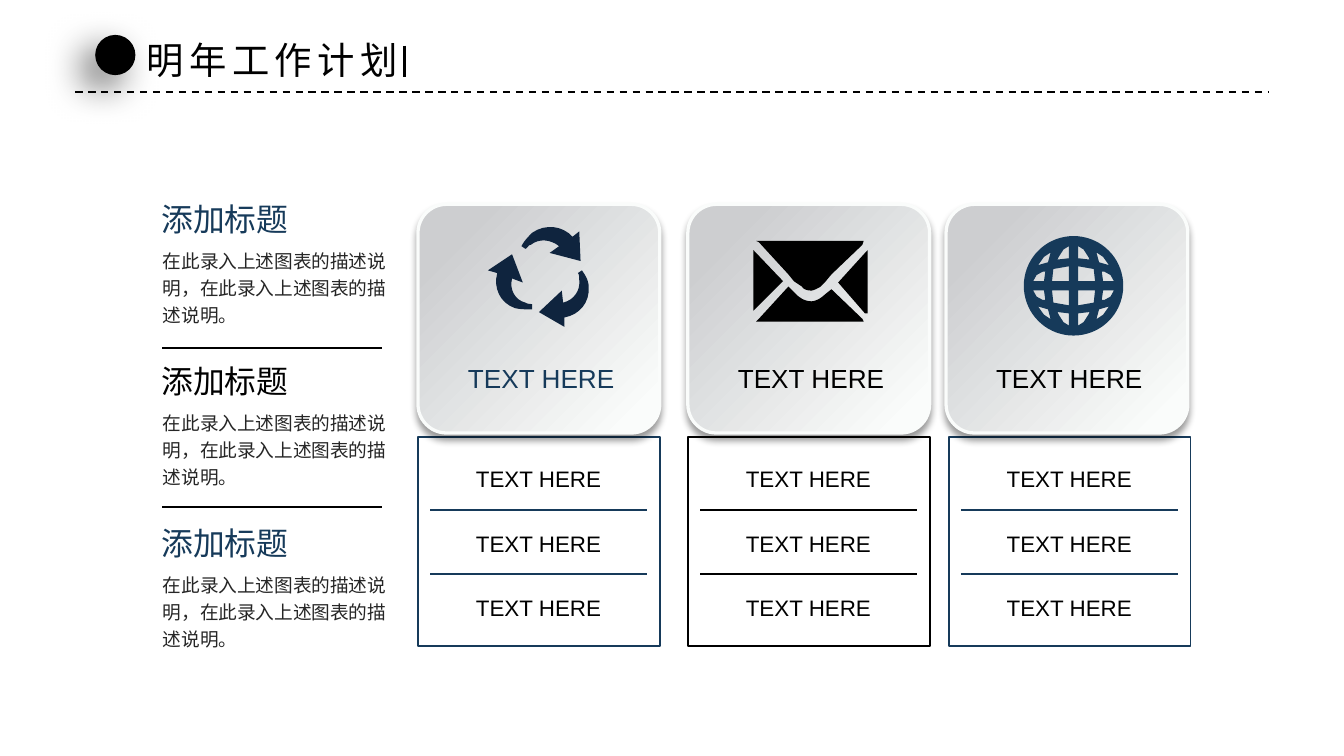
import math
from lxml import etree
from pptx import Presentation
from pptx import util as u
from pptx.dml.color import RGBColor
from pptx.enum import dml, shapes, text
from pptx.oxml.ns import qn

COLORS = {"navy": "163A5A", "deep": "0F243E", "black": "000000", "body": "262626",
          "silver": "CDCED0", "pale": "FAFCFB"}
CJK, LATIN = "Noto Sans CJK SC", "Arial"

TITLE = "明年工作计划"
DESCRIPTION = "在此录入上述图表的描述说明，在此录入上述图表的描述说明。"
NOTES = [("添加标题", DESCRIPTION, "navy"), ("添加标题", DESCRIPTION, "black"),
         ("添加标题", DESCRIPTION, "navy")]
ITEMS = ["TEXT HERE"] * 3

# Icon outlines in hundredths of an inch: pairs are corners, sextets are Bezier curves.
RECYCLE = [
    [(57, 77), (38, 66), (55, 50), (56, 59), (64, 57, 69, 50, 68, 42),
     (68, 40, 68, 38, 67, 37), (70, 35), (73, 39, 75, 43, 75, 47), (76, 59, 68, 68, 57, 70)],
    [(0, 35), (18, 23), (26, 44), (18, 41), (16, 49, 20, 57, 28, 59),
     (30, 60, 31, 60, 33, 60), (33, 64), (29, 64, 24, 64, 20, 63), (9, 59, 4, 48, 7, 37)],
    [(68, 6), (63, 10), (56, 2, 43, 0, 33, 7), (30, 10, 27, 13, 25, 17), (28, 19),
     (30, 18, 30, 16, 32, 16), (38, 11, 47, 12, 53, 17), (46, 22), (69, 28)],
]
ENVELOPE = [
    [(0, 7), (0, 52), (22, 30)],
    [(26, 25), (30, 30), (36, 34), (37, 36, 40, 37, 43, 37), (44, 37, 47, 36, 50, 34),
     (53, 31), (58, 25), (81, 3), (82, 0), (2, 0), (4, 1)],
    [(58, 36), (53, 40), (50, 43, 46, 45, 43, 45), (39, 45, 35, 43, 32, 40),
     (26, 34), (4, 58), (2, 60), (82, 60), (81, 58)],
    [(83, 9), (63, 31), (83, 54), (85, 54), (85, 7)],
]
GLOBE_GAPS = [  # one quarter, measured from the centre
    [(3.5, 29.5), (3.5, 20.5), (12, 19.5), (11, 21.5), (7.5, 27)],
    [(3.5, 14.5), (3.5, 3.5), (16, 3.5), (15, 12.5)],
    [(22, 3.5), (30, 3.5), (27.5, 8), (23, 10.5), (21, 10.5)],
    [(19, 17.5), (26, 15.5), (27, 14.5), (22, 21.5), (16, 25.5), (17, 25)],
]


def globe():
    """Disc outline followed by the gaps mirrored into four quarters."""
    middle, radius = 37, 37
    disc = [(middle + radius * math.cos(math.radians(a)),
             middle + radius * math.sin(math.radians(a))) for a in range(0, 360, 5)]
    return [disc] + [[(middle + sx * x, middle + sy * y) for x, y in gap]
                     for sx in (1, -1) for sy in (1, -1) for gap in GLOBE_GAPS]


# panel left, card left, accent, label colour, icon outlines, icon colour, icon offset in card
COLUMNS = [
    (7.9, 7.9, "navy", "navy", RECYCLE, "deep", (1.32, 0.36)),
    (13.0, 13.0, "black", "black", ENVELOPE, "black", (1.24, 0.69)),
    (17.93, 17.88, "navy", "black", globe(), "navy", (1.47, 0.6)),
]
WIDTH, CARD_TOP, CARD_HEIGHT = 4.57, 3.86, 4.32
PANEL_TOP, PANEL_HEIGHT, ROW = 8.26, 3.94, 1.22
INSET, INNER = 0.23, 4.1


def rgb(name):
    return RGBColor.from_string(COLORS[name])


def write(box, words, *, size, color, font=LATIN, align="LEFT", line=None, spacing=None,
          margins=(0.25, 0.13), wrap=True):
    frame = box.text_frame
    frame.auto_size = text.MSO_AUTO_SIZE.NONE
    frame.word_wrap = wrap
    frame.vertical_anchor = text.MSO_ANCHOR.TOP
    frame.margin_left = frame.margin_right = u.Cm(margins[0])
    frame.margin_top = frame.margin_bottom = u.Cm(margins[1])
    para = frame.paragraphs[0]
    para.alignment = getattr(text.PP_ALIGN, align)
    if line:
        para.line_spacing = line
    span = para.add_run()
    span.text = words
    span.font.size = u.Pt(size)
    span.font.color.rgb = rgb(color)
    span.font.name = font
    props = span.font._element
    etree.SubElement(props, qn("a:ea")).set("typeface", font)
    if spacing:
        props.set("spc", str(spacing * 100))


def add_text(page, left, top, width, height, words, **style):
    box = page.shapes.add_textbox(u.Cm(left), u.Cm(top), u.Cm(width), u.Cm(height))
    write(box, words, **style)


def add_line(page, x1, y1, x2, y2, color="black", weight=1, dashed=False):
    line = page.shapes.add_connector(shapes.MSO_CONNECTOR.STRAIGHT,
                                     u.Cm(x1), u.Cm(y1), u.Cm(x2), u.Cm(y2))
    line.line.color.rgb = rgb(color)
    line.line.width = u.Pt(weight)
    if dashed:
        line.line.dash_style = dml.MSO_LINE.DASH
    etree.SubElement(line._element.spPr, qn("a:effectLst"))


def add_box(page, kind, left, top, width, height):
    shape = page.shapes.add_shape(getattr(shapes.MSO_SHAPE, kind), u.Cm(left), u.Cm(top),
                                  u.Cm(width), u.Cm(height))
    shape.shadow.inherit = False
    return shape


def cast_shadow(shape, blur, distance, angle, opacity):
    effects = shape._element.spPr.find(qn("a:effectLst"))
    shadow = etree.SubElement(effects, qn("a:outerShdw"), blurRad=str(u.Pt(blur)),
                              dist=str(u.Pt(distance)), dir=str(angle * 60000),
                              algn="ctr", rotWithShape="0")
    color = etree.SubElement(shadow, qn("a:srgbClr"), val=COLORS["black"])
    etree.SubElement(color, qn("a:alpha"), val=str(opacity * 1000))


def flatten(outline, steps=8):
    """Turn the curves of an outline into short straight pieces."""
    points = []
    for part in outline:
        if len(part) == 2:
            points.append(part)
            continue
        controls = [points[-1], part[:2], part[2:4], part[4:]]
        for step in range(1, steps + 1):
            t = step / steps
            weights = [math.comb(3, i) * t ** i * (1 - t) ** (3 - i) for i in range(4)]
            points.append(tuple(sum(w * c[axis] for w, c in zip(weights, controls))
                                for axis in (0, 1)))
    return points


def add_icon(page, left, top, outlines, color):
    builder = None
    for outline in outlines:
        points = [(u.Cm(left + x * 2.54 / 100), u.Cm(top + y * 2.54 / 100))
                  for x, y in flatten(outline)]
        if builder is None:
            builder = page.shapes.build_freeform(*points[0])
        else:
            builder.move_to(*points[0])
        builder.add_line_segments(points[1:], close=True)
    icon = builder.convert_to_shape()
    icon.shadow.inherit = False
    icon.fill.solid()
    icon.fill.fore_color.rgb = rgb(color)
    icon.line.fill.background()


def add_panel(page, left, accent):
    panel = add_box(page, "RECTANGLE", left, PANEL_TOP, WIDTH, PANEL_HEIGHT)
    panel.fill.background()
    panel.line.color.rgb = rgb(accent)
    panel.line.width = u.Pt(1)
    for row, item in enumerate(ITEMS):
        top = PANEL_TOP + 0.4 + row * ROW
        add_text(page, left + INSET, top, INNER, 0.76, item, size=12, color="black",
                 align="CENTER")
        if row:
            rule = top - 0.25
            add_line(page, left + INSET, rule, left + INSET + INNER, rule, accent)


def add_card(page, left, label_color, outlines, icon_color, offset):
    card = add_box(page, "ROUNDED_RECTANGLE", left, CARD_TOP, WIDTH, CARD_HEIGHT)
    card.adjustments[0] = 0.125
    card.fill.gradient()
    card.fill.gradient_angle = 315
    for stop, position, color in zip(card.fill.gradient_stops, (0.15, 0.92), ("silver", "pale")):
        stop.position = position
        stop.color.rgb = rgb(color)
    card.line.color.rgb = rgb("pale")
    card.line.width = u.Pt(1.75)
    cast_shadow(card, 4, 3, 90, 40)
    add_icon(page, left + offset[0], CARD_TOP + offset[1], outlines, icon_color)
    add_text(page, left + 0.28, 6.71, INNER, 0.86, "TEXT HERE", size=14, color=label_color,
             align="CENTER")


def add_header(page):
    add_line(page, 1.42, 1.73, 23.98, 1.73, dashed=True)
    dot = add_box(page, "OVAL", 1.8, 0.66, 0.76, 0.76)
    dot.fill.solid()
    dot.fill.fore_color.rgb = rgb("black")
    dot.line.fill.background()
    cast_shadow(dot, 20, 10, 135, 60)
    title = page.shapes.title
    title.left, title.top, title.width, title.height = map(u.Cm, (2.51, 0.58, 5.44, 1.12))
    write(title, TITLE, size=20, color="black", font=CJK, spacing=3, wrap=False)
    add_line(page, 7.65, 0.86, 7.65, 1.45, weight=1.5)


def main():
    deck = Presentation()
    deck.slide_width, deck.slide_height = u.Cm(25.4), u.Cm(14.28)
    page = deck.slides.add_slide(deck.slide_layouts[5])
    add_header(page)
    for index, (heading, description, color) in enumerate(NOTES):
        top = 3.68 + index * 3.06
        add_text(page, 2.87, top, 3.07, 0.91, heading, size=17, color=color, font=CJK,
                 margins=(0.18, 0.1))
        add_text(page, 2.9, top + 0.86, 4.72, 1.73, description, size=10, color="body",
                 font=CJK, line=1.2, margins=(0.18, 0.1))
        if index:
            rule = 3.58 + index * 3
            add_line(page, 3.07, rule, 7.21, rule)
    for panel_left, card_left, accent, *card in COLUMNS:
        add_panel(page, panel_left, accent)
        add_card(page, card_left, *card)
    deck.save("out.pptx")


if __name__ == "__main__":
    main()
